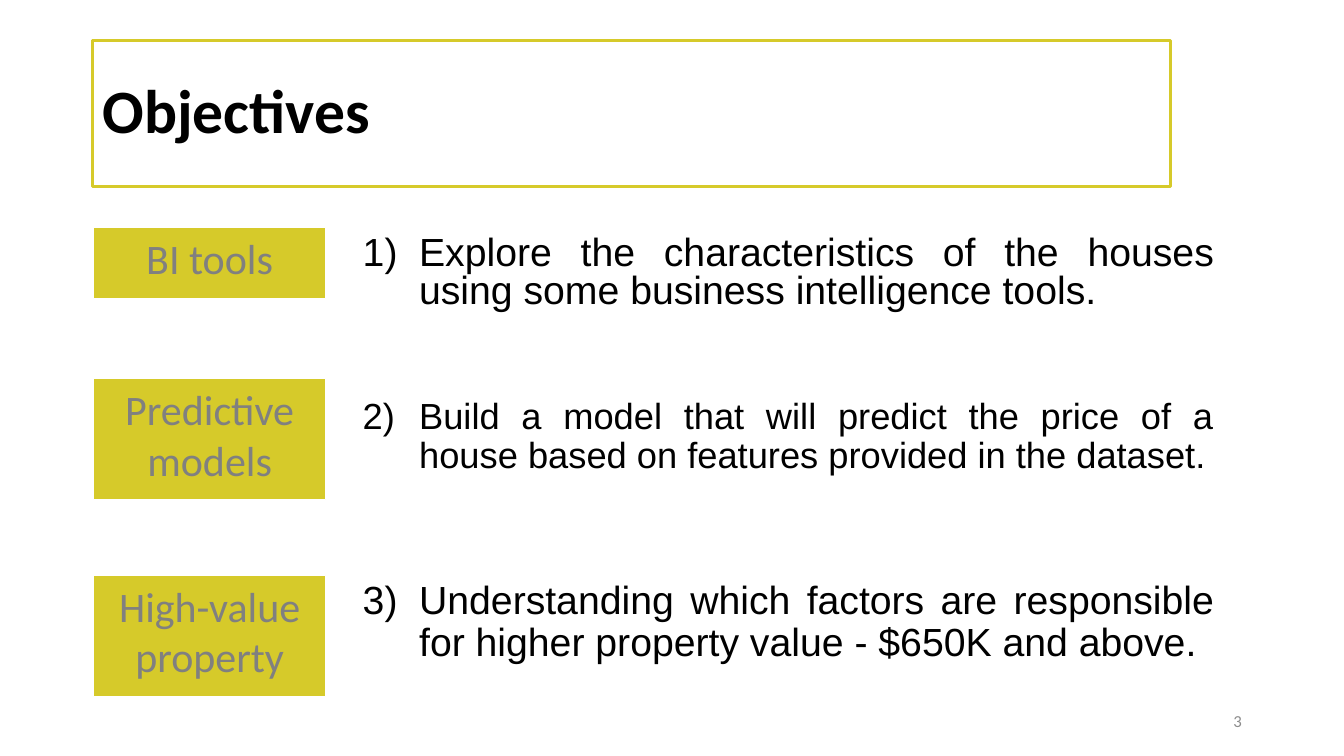
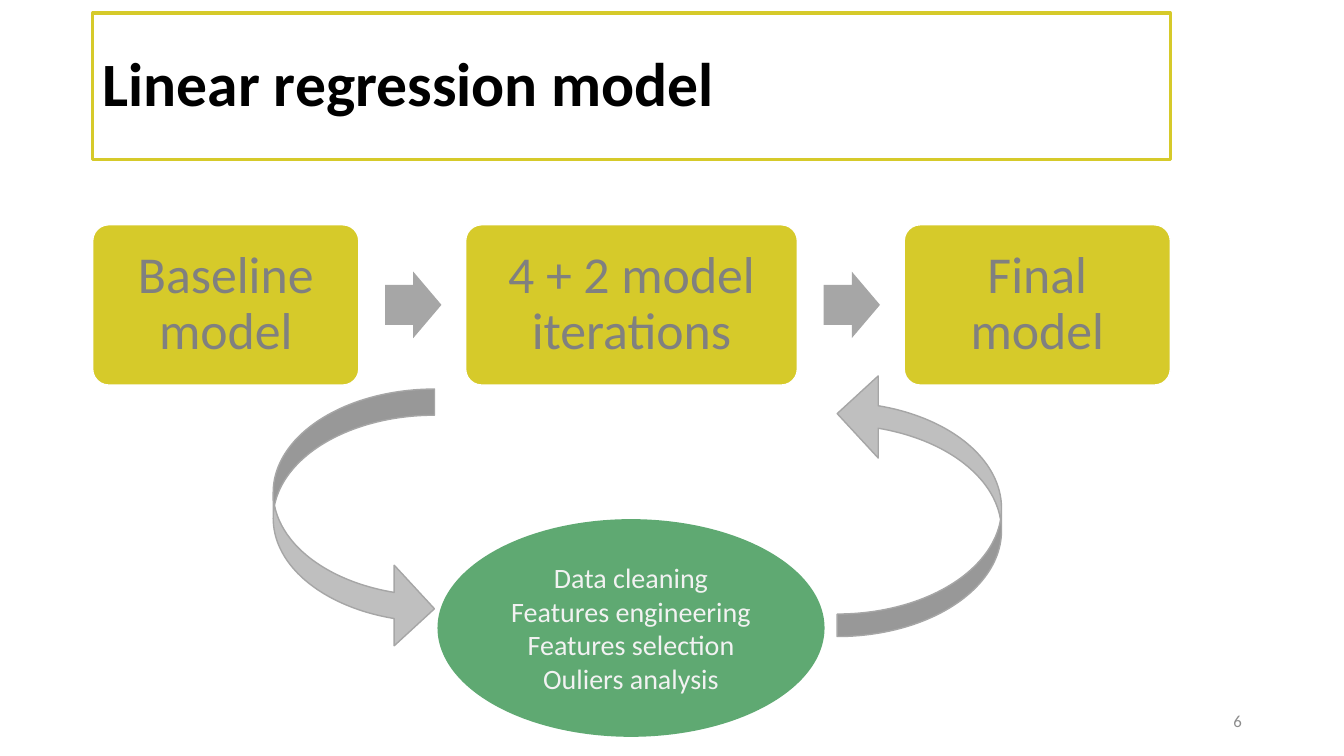
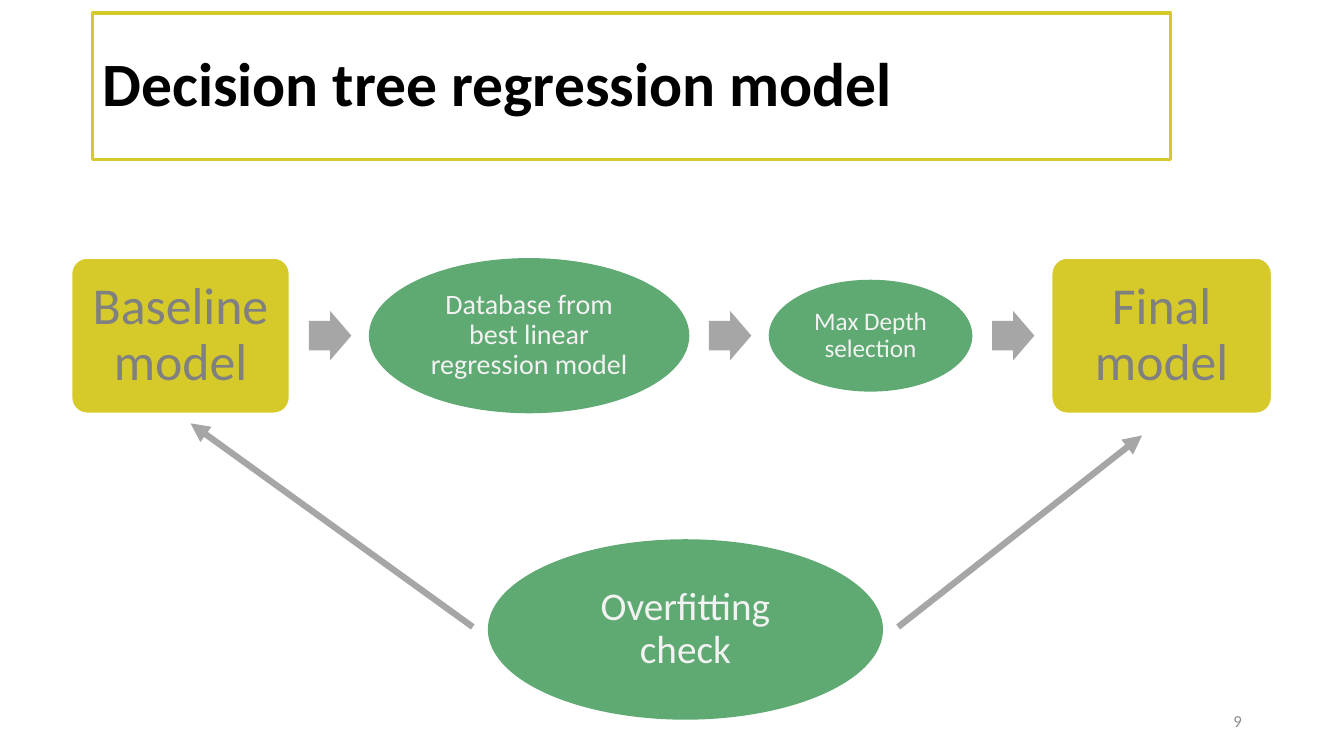
from lxml.etree import SubElement
from pptx import Presentation
from pptx.dml.color import RGBColor
from pptx.enum.shapes import MSO_CONNECTOR as Connector, MSO_SHAPE as Preset
from pptx.enum.text import MSO_ANCHOR as Anchor, PP_ALIGN as Align
from pptx.oxml.ns import qn
from pptx.util import Inches, Pt

WIDTH, HEIGHT = Inches(13.33), Inches(7.5)
MUSTARD, GREEN, WHITE = "D6CA2A", "5FA972", "FFFFFF"
BLACK, LABEL_GRAY, NUMBER_GRAY = "000000", "808080", "8C8C8C"
ARROW_GRAY, CURVE_GRAY, PALE = "A6A6A6", "BFBFBF", "F2F2F2"
BODY_FONT, LIST_FONT = "Calibri", "Arial"
BLOCK, OVAL = Preset.ROUNDED_RECTANGLE, Preset.OVAL
TITLE_LEFT = 6.9


def color(hex_string):
    """Turn a hex string into a colour."""
    return RGBColor.from_string(hex_string)


def across(share):
    """Length of a percentage of the slide's width."""
    return round(WIDTH * share / 100)


def down(share):
    """Length of a percentage of the slide's height."""
    return round(HEIGHT * share / 100)


def box(left, top, width, height):
    """Position and size from percentages of the slide."""
    return across(left), down(top), across(width), down(height)


def write(shape, text, size, ink, font=BODY_FONT, bold=False, align=Align.CENTER,
          anchor=Anchor.MIDDLE, spacing=None, inset=(0.1, 0.05)):
    """Fill a shape with uniformly formatted text."""
    frame = shape.text_frame
    frame.word_wrap = True
    frame.vertical_anchor = anchor
    frame.margin_left = frame.margin_right = Inches(inset[0])
    frame.margin_top = frame.margin_bottom = Inches(inset[1])
    frame.text = text
    for paragraph in frame.paragraphs:
        paragraph.alignment = align
        paragraph.line_spacing = spacing
        for run in paragraph.runs:
            run.font.size = Pt(size)
            run.font.name = font
            run.font.bold = bold
            run.font.color.rgb = color(ink)
    return frame


def add_figure(slide, preset, area, fill=None, outline=None, weight=1, adjustments=()):
    """Add a flat preset shape."""
    figure = slide.shapes.add_shape(preset, *box(*area))
    figure.shadow.inherit = False
    for index, value in enumerate(adjustments):
        figure.adjustments[index] = value
    if fill:
        figure.fill.solid()
        figure.fill.fore_color.rgb = color(fill)
    else:
        figure.fill.background()
    if outline:
        figure.line.color.rgb = color(outline)
        figure.line.width = Pt(weight)
    else:
        figure.line.fill.background()
    return figure


def add_page(deck, title, number, title_top=1.73):
    """Add a slide with its framed title and page number."""
    slide = deck.slides.add_slide(deck.slide_layouts[6])
    frame = add_figure(slide, Preset.RECTANGLE, (TITLE_LEFT, title_top, 80.18, 19.33),
                       outline=MUSTARD, weight=2.25)
    write(frame, title, 44, BLACK, bold=True, align=Align.LEFT, spacing=0.9)
    folio = slide.shapes.add_textbox(*box(70.65, 92.67, 22.5, 5.33))
    write(folio, str(number), 12, NUMBER_GRAY, align=Align.RIGHT)
    return slide


def add_objective(slide, number, label, label_rows, goal, goal_rows, size, spacing):
    """Add a label and its numbered goal."""
    tag = add_figure(slide, Preset.RECTANGLE, (6.98, label_rows[0], 17.25, label_rows[1]),
                     MUSTARD, WHITE, 0.75)
    write(tag, label, 30, LABEL_GRAY, anchor=Anchor.TOP)
    goal_box = slide.shapes.add_textbox(*box(26.25, goal_rows[0], 64.8, goal_rows[1]))
    frame = write(goal_box, goal, size, BLACK, LIST_FONT, align=Align.JUSTIFY,
                  anchor=Anchor.TOP, spacing=spacing)
    paragraph = frame.paragraphs[0]
    paragraph.space_before = Pt(10)
    properties = paragraph.runs[0].font and paragraph._p.get_or_add_pPr()
    properties.set("marL", str(Inches(0.56)))
    properties.set("indent", str(-Inches(0.56)))
    SubElement(properties, qn("a:buFont"), typeface=LIST_FONT)
    SubElement(properties, qn("a:buAutoNum"), type="arabicParenR", startAt=str(number))


def add_block(slide, area, text):
    """Add a mustard model block."""
    block = add_figure(slide, BLOCK, area, MUSTARD, WHITE, adjustments=[0.1])
    write(block, text, 37, LABEL_GRAY, spacing=0.9, inset=(0.14, 0.14))


def add_oval(slide, area, text, size, spacing=0.9, inset=0.08):
    """Add a green activity oval."""
    oval = add_figure(slide, OVAL, area, GREEN)
    write(oval, text, size, PALE, spacing=spacing, inset=(inset, inset))


def add_process(slide, left, middle, steps, arrow, gaps):
    """Lay steps in a row with a block arrow between neighbours."""
    arrow_width, arrow_height = arrow
    for index, (width, height, text, oval_size) in enumerate(steps):
        if index:
            left += gaps[0]
            add_figure(slide, Preset.RIGHT_ARROW,
                       (left, middle - arrow_height / 2, arrow_width, arrow_height),
                       ARROW_GRAY, adjustments=[0.6, 0.5])
            left += arrow_width + gaps[1]
        area = (left, middle - height / 2, width, height)
        if oval_size:
            add_oval(slide, area, text, oval_size)
        else:
            add_block(slide, area, text)
        left += width


def add_curve(slide, area, rotation, thickness):
    """Add a turned curved arrow."""
    curve = add_figure(slide, Preset.CURVED_UP_ARROW, area, CURVE_GRAY, ARROW_GRAY,
                       adjustments=[thickness, 0.5, 0.25])
    curve.rotation = rotation


def add_arrow(slide, start, end):
    """Add a thick straight arrow."""
    arrow = slide.shapes.add_connector(Connector.STRAIGHT, across(start[0]), down(start[1]),
                                       across(end[0]), down(end[1]))
    arrow.line.color.rgb = color(ARROW_GRAY)
    arrow.line.width = Pt(4.5)
    properties = arrow.element.spPr
    SubElement(properties.find(qn("a:ln")), qn("a:tailEnd"), type="triangle")
    SubElement(properties, qn("a:effectLst"))


def build_objectives(deck):
    """Build the objectives slide."""
    slide = add_page(deck, "Objectives", 3, title_top=5.33)
    objectives = [
        ("BI tools", (30.13, 9.33),
         "Explore the characteristics of the houses using some business intelligence tools.",
         (30.67, 12.27), 28, 0.8),
        ("Predictive models", (50.13, 16),
         "Build a model that will predict the price of a house based on features "
         "provided in the dataset.",
         (52, 12.27), 25.9, 0.9),
        ("High-value property", (76.13, 16),
         "Understanding which factors are responsible for higher property value "
         "- $650K and above.",
         (76.13, 16), 28, 0.9),
    ]
    for number, objective in enumerate(objectives, 1):
        add_objective(slide, number, *objective)


def build_linear(deck):
    """Build the linear regression slide."""
    slide = add_page(deck, "Linear regression model", 6)
    steps = [(19.8, 21.2, "Baseline model", None),
             (24.68, 21.2, "4 + 2 model iterations", None),
             (19.8, 21.2, "Final model", None)]
    add_process(slide, TITLE_LEFT, 40.33, steps, (4.2, 8.8), (1.95, 1.8))
    activities = ["Data cleaning", "Features engineering", "Features selection",
                  "Ouliers analysis"]
    add_oval(slide, (32.55, 68.67, 28.8, 28.8), "\n".join(activities), 20, spacing=1.0)
    add_curve(slide, (58.58, 55.87, 19.65, 21.73), 270, 0.137)
    add_curve(slide, (16.65, 58, 19.35, 21.33), 90, 0.162)


def build_tree(deck):
    """Build the decision tree slide."""
    slide = add_page(deck, "Decision tree regression model", 9)
    steps = [(16.2, 20.53, "Baseline model", None),
             (23.85, 20.53, "Database from best linear regression model", 20),
             (15.15, 14.8, "Max Depth selection", 18),
             (16.35, 20.53, "Final model", None)]
    add_process(slide, 5.33, 44.4, steps, (3.15, 6.53), (1.46, 1.3))
    add_oval(slide, (36.3, 71.33, 29.4, 23.87), "Overfitting check", 28, inset=0.12)
    add_arrow(slide, (35.18, 82.93), (14.18, 56))
    add_arrow(slide, (66.83, 82.93), (84.98, 57.6))


def main():
    """Build and save the deck."""
    deck = Presentation()
    deck.slide_width, deck.slide_height = WIDTH, HEIGHT
    build_objectives(deck)
    build_linear(deck)
    build_tree(deck)
    deck.save("out.pptx")


if __name__ == "__main__":
    main()
